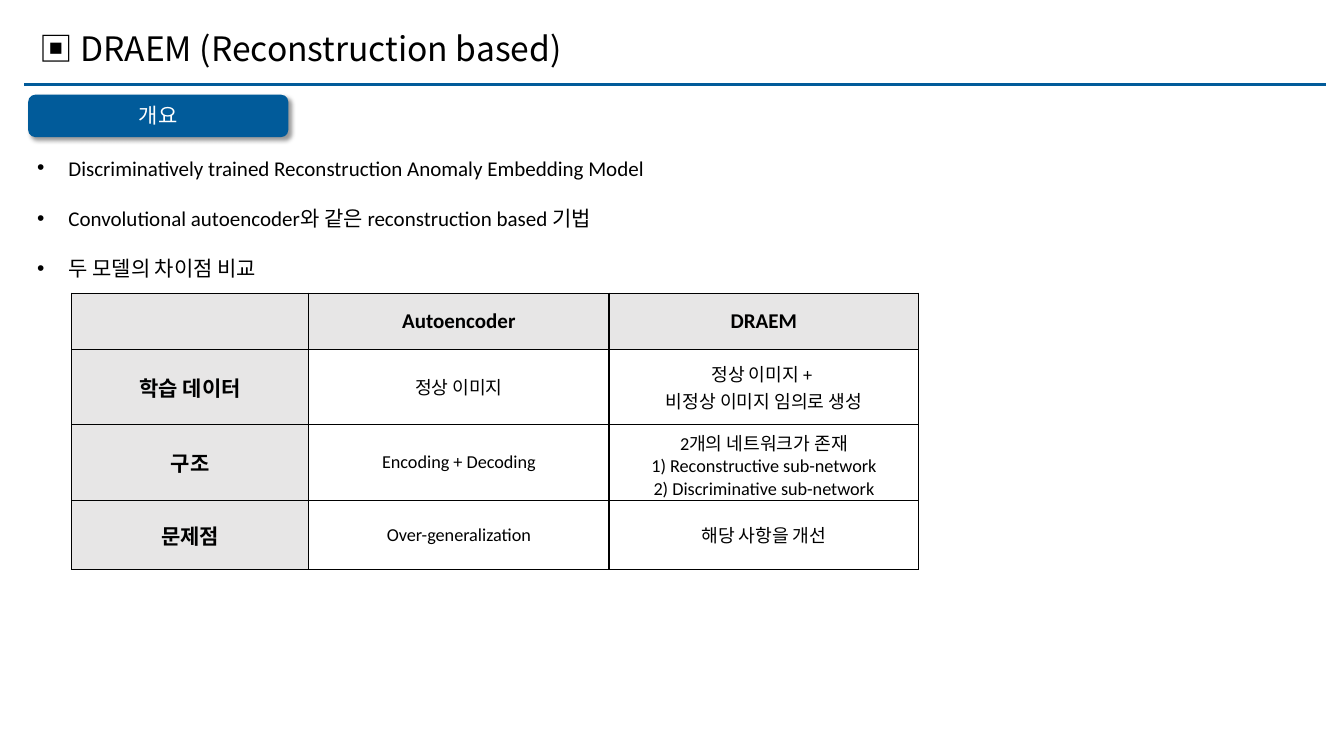
from dataclasses import dataclass

from lxml.etree import SubElement as Sub
from pptx import Presentation
from pptx.dml.color import RGBColor as Rgb
from pptx.enum.shapes import MSO_CONNECTOR as Conn, MSO_SHAPE as Geo
from pptx.enum.text import MSO_ANCHOR as Anchor, MSO_AUTO_SIZE as Auto, PP_ALIGN as Align
from pptx.oxml.ns import qn
from pptx.util import Emu, Inches, Pt

WIDE, HIGH = Inches(13.33), Inches(7.5)
HUES = {"blue": "015B9A", "black": "000000", "white": "FFFFFF", "gray": "E7E6E6"}
HAN, LATIN = "Noto Sans CJK KR", "Calibri"


@dataclass(frozen=True)
class Box:
    """Place and size, in percent of the slide."""
    left: float
    top: float
    wide: float
    high: float

    def emu(self) -> tuple[Emu, Emu, Emu, Emu]:
        return across(self.left), down(self.top), across(self.wide), down(self.high)


@dataclass(frozen=True)
class Type:
    size: float
    face: str = LATIN
    hue: str = "black"
    bold: bool = False


TITLE = Type(24, HAN)
BADGE = Type(15, HAN, "white")
POINT = Type(15)
HEAD = Type(15, bold=True)
BODY = Type(13)

POINTS = [
    "Discriminatively trained Reconstruction Anomaly Embedding Model",
    "Convolutional autoencoder와 같은 reconstruction based 기법",
    "두 모델의 차이점 비교",
]
COLS = [17.63, 22.36, 23.03]
ROWS = [7.47, 9.87, 9.6, 9.2]
CELLS = [
    ["", "Autoencoder", "DRAEM"],
    ["학습 데이터", "정상 이미지", "정상 이미지 + \n비정상 이미지 임의로 생성"],
    ["구조", "Encoding + Decoding",
     "2개의 네트워크가 존재\n1) Reconstructive sub-network\n2) Discriminative sub-network"],
    ["문제점", "Over-generalization", "해당 사항을 개선"],
]


def across(share: float) -> Emu:
    return Emu(round(WIDE * share / 100))


def down(share: float) -> Emu:
    return Emu(round(HIGH * share / 100))


def color(name: str) -> Rgb:
    return Rgb.from_string(HUES[name])


def write(frame, text: str, kind: Type, align=Align.LEFT) -> None:
    frame.text = text
    for para in frame.paragraphs:
        para.alignment = align
        for run in para.runs:
            font = run.font
            font.size, font.bold, font.name = Pt(kind.size), kind.bold, kind.face
            font.color.rgb = color(kind.hue)
            Sub(font._element, qn("a:ea"), typeface=HAN)


def add_text(slide, box: Box, text: str, kind: Type):
    frame = slide.shapes.add_textbox(*box.emu()).text_frame
    frame.word_wrap = True
    frame.auto_size = Auto.SHAPE_TO_FIT_TEXT
    write(frame, text, kind)
    return frame


def add_rule(slide, left: float, right: float, top: float) -> None:
    rule = slide.shapes.add_connector(
        Conn.STRAIGHT, across(left), down(top), across(right), down(top))
    rule.line.color.rgb = color("blue")
    rule.line.width = Pt(2.25)
    Sub(rule._element.spPr, qn("a:effectLst"))


def add_badge(slide, box: Box, text: str) -> None:
    badge = slide.shapes.add_shape(Geo.ROUNDED_RECTANGLE, *box.emu())
    badge.fill.solid()
    badge.fill.fore_color.rgb = color("blue")
    badge.line.fill.background()
    # Soft shadow toward the lower right
    badge.shadow.inherit = False
    list_ = badge._element.spPr.find(qn("a:effectLst"))
    shade = Sub(list_, qn("a:outerShdw"), blurRad=str(Pt(3)), dist=str(Pt(3)),
                dir="2700000", algn="tl", rotWithShape="0")
    tint = Sub(shade, qn("a:srgbClr"), val=HUES["black"])
    Sub(tint, qn("a:alpha"), val="40000")
    frame = badge.text_frame
    frame.margin_left = frame.margin_right = frame.margin_bottom = Inches(0.04)
    frame.margin_top = Inches(0.02)
    frame.vertical_anchor = Anchor.MIDDLE
    write(frame, text, BADGE, Align.CENTER)


def add_points(slide, box: Box, lines: list[str]) -> None:
    frame = add_text(slide, box, "\n".join(lines), POINT)
    for para in frame.paragraphs:
        props = para._p.get_or_add_pPr()
        props.set("marL", str(Inches(0.31)))
        props.set("indent", str(-Inches(0.31)))
        Sub(props, qn("a:buFont"), typeface="Arial")
        Sub(props, qn("a:buChar"), char="•")
        para.line_spacing = 2.0


def add_edges(cell) -> None:
    props = cell._tc.get_or_add_tcPr()
    for side in ("lnL", "lnR", "lnT", "lnB"):
        edge = Sub(props, qn(f"a:{side}"), w=str(Pt(1)))
        Sub(Sub(edge, qn("a:solidFill")), qn("a:srgbClr"), val=HUES["black"])


def add_grid(slide, left: float, top: float) -> None:
    box = Box(left, top, sum(COLS), sum(ROWS))
    grid = slide.shapes.add_table(len(ROWS), len(COLS), *box.emu()).table
    grid.first_row = grid.horz_banding = False
    for col, share in zip(grid.columns, COLS):
        col.width = across(share)
    for row, share in zip(grid.rows, ROWS):
        row.height = down(share)
    for r, texts in enumerate(CELLS):
        for c, text in enumerate(texts):
            cell = grid.cell(r, c)
            head = r == 0 or c == 0
            write(cell.text_frame, text, HEAD if head else BODY, Align.CENTER)
            cell.vertical_anchor = Anchor.MIDDLE
            add_edges(cell)
            if head:
                cell.fill.solid()
                cell.fill.fore_color.rgb = color("gray")
            else:
                cell.fill.background()


def main() -> None:
    deck = Presentation()
    deck.slide_width, deck.slide_height = WIDE, HIGH
    slide = deck.slides.add_slide(deck.slide_layouts[6])
    # Title band
    add_rule(slide, 1.8, 98.65, 11.2)
    add_text(slide, Box(2.18, 3.07, 49.29, 6.67), "▣ DRAEM (Reconstruction based)", TITLE)
    # Overview
    add_badge(slide, Box(2.1, 12.53, 19.35, 5.6), "개요")
    add_points(slide, Box(2.03, 16.53, 96.55, 20.53), POINTS)
    # Model comparison
    add_grid(slide, 5.33, 38.8)
    deck.save("out.pptx")


if __name__ == "__main__":
    main()
